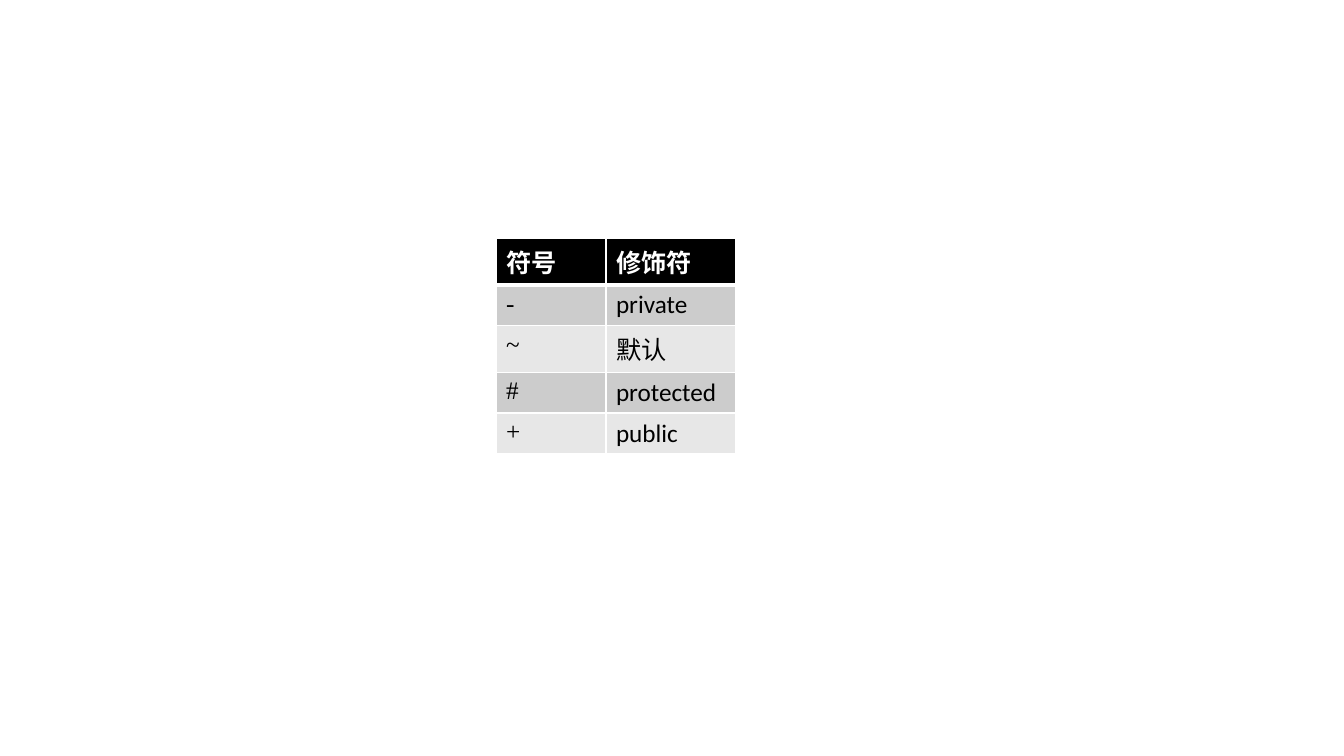
from lxml.etree import SubElement
from pptx import Presentation
from pptx.dml.color import RGBColor
from pptx.oxml.ns import qn
from pptx.util import Cm, Pt

COLORS = {
    "header": "000000",
    "odd": "CCCCCC",
    "even": "E7E7E7",
    "line": "FFFFFF",
    "header_text": "FFFFFF",
    "body_text": "000000",
}
ROWS = [
    ("符号", "修饰符"),
    ("-", "private"),
    ("~", "默认"),
    ("#", "protected"),
    ("+", "public"),
]
COLUMN_WIDTHS = [Cm(2.77), Cm(3.28)]
ROW_HEIGHT = Cm(1.03)


def add_borders(cell, top, bottom):
    properties = cell._tc.get_or_add_tcPr()
    widths = {"a:lnL": 1, "a:lnR": 1, "a:lnT": top, "a:lnB": bottom}
    for tag, width in widths.items():
        line = SubElement(properties, qn(tag), w=str(Pt(width)))
        fill = SubElement(line, qn("a:solidFill"))
        SubElement(fill, qn("a:srgbClr"), val=COLORS["line"])


def fill_cell(cell, text, fill, color, font_name, bold):
    cell.fill.solid()
    cell.fill.fore_color.rgb = RGBColor.from_string(COLORS[fill])
    cell.text_frame.text = text
    font = cell.text_frame.paragraphs[0].runs[0].font
    font.name = font_name
    font.size = Pt(18)
    font.bold = bold
    font.color.rgb = RGBColor.from_string(COLORS[color])


def add_modifier_table(page):
    frame = page.shapes.add_table(
        len(ROWS), len(COLUMN_WIDTHS), Cm(12.5), Cm(6),
        sum(COLUMN_WIDTHS), ROW_HEIGHT * len(ROWS))
    table = frame.table
    for column, width in zip(table.columns, COLUMN_WIDTHS):
        column.width = width
    for row_index, texts in enumerate(ROWS):
        table.rows[row_index].height = ROW_HEIGHT
        is_header = row_index == 0
        fill = "header" if is_header else "odd" if row_index % 2 else "even"
        color = "header_text" if is_header else "body_text"
        for column_index, text in enumerate(texts):
            is_symbol = column_index == 0 and not is_header
            font_name = "Times New Roman" if is_symbol else "Calibri"
            cell = table.cell(row_index, column_index)
            add_borders(cell, 3 if row_index == 1 else 1, 3 if is_header else 1)
            fill_cell(cell, text, fill, color, font_name, is_header)


def main():
    deck = Presentation()
    deck.slide_width = Cm(33.87)
    deck.slide_height = Cm(19.05)
    page = deck.slides.add_slide(deck.slide_layouts[6])
    add_modifier_table(page)
    deck.save("out.pptx")


if __name__ == "__main__":
    main()
